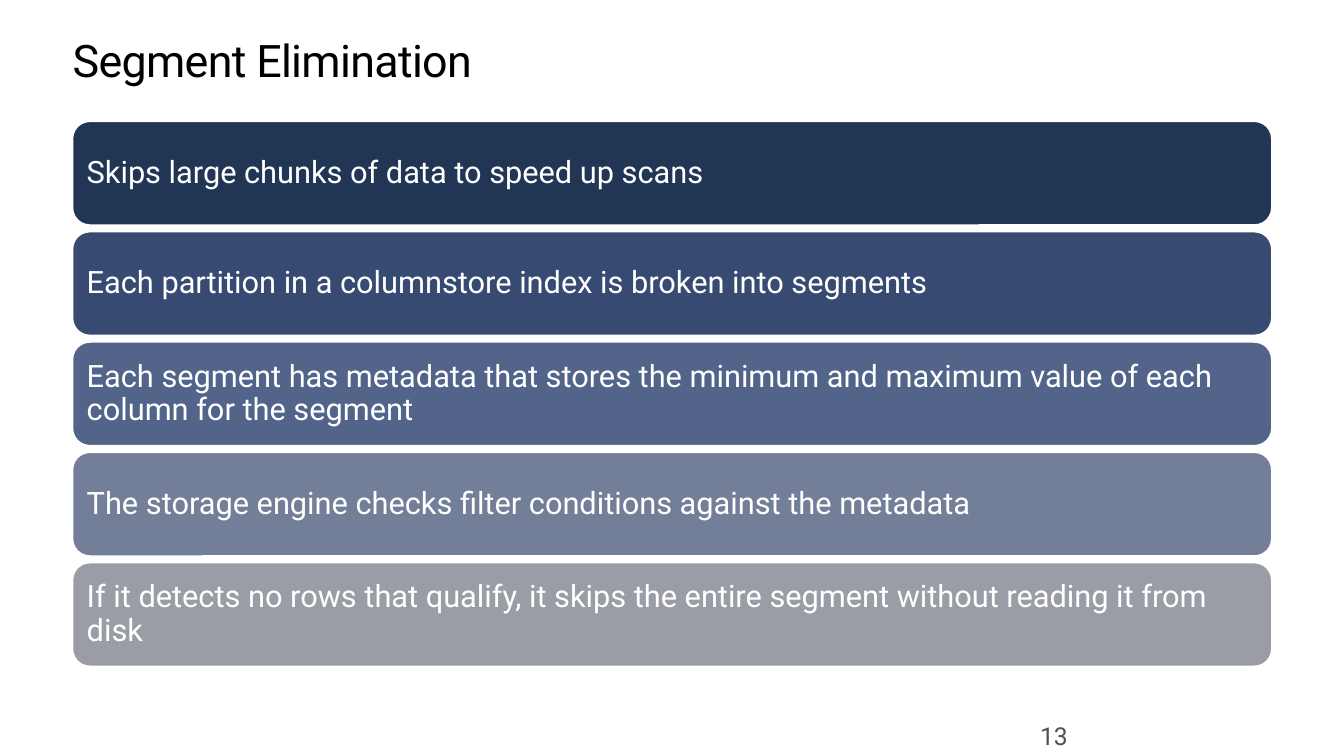
from dataclasses import dataclass

from pptx import Presentation
from pptx import util as u
from pptx.dml import color
from pptx.enum import shapes, text


@dataclass(frozen=True)
class Theme:
    font: str = "Roboto"
    ink: str = "000000"
    paper: str = "FFFFFF"
    grey: str = "505050"
    bars: tuple = ("213555", "374B72", "526489", "737F99", "9A9DA5")
    head: float = 32
    body: float = 22
    foot: float = 17.6


THEME = Theme()

POINTS = (
    "Skips large chunks of data to speed up scans",
    "Each partition in a columnstore index is broken into segments",
    "Each segment has metadata that stores the minimum and maximum value "
    "of each column for the segment",
    "The storage engine checks filter conditions against the metadata",
    "If it detects no rows that qualify, it skips the entire segment "
    "without reading it from disk",
)

# Shared column and bar rhythm
LEFT, WIDTH = u.Cm(1.83), u.Cm(30.22)
TOP, HIGH, STEP = u.Cm(3.06), u.Cm(2.61), u.Cm(2.78)


def rgb(code):
    return color.RGBColor.from_string(code)


def write(shape, words, size, ink, inset=None, anchor=None, lead=None, track=None):
    """Put one left-aligned paragraph in a shape."""
    frame = shape.text_frame
    frame.word_wrap = True
    frame.auto_size = text.MSO_AUTO_SIZE.NONE
    if anchor is not None:
        frame.vertical_anchor = anchor
    if inset is not None:
        frame.margin_left = frame.margin_right = inset
        frame.margin_top = frame.margin_bottom = inset
    para = frame.paragraphs[0]
    para.alignment = text.PP_ALIGN.LEFT
    if lead is not None:
        para.line_spacing = lead
    run = para.add_run()
    run.text = words
    run.font.name = THEME.font
    run.font.size = u.Pt(size)
    run.font.color.rgb = rgb(ink)
    if track is not None:
        run.font._element.set("spc", str(track))


def title(slide, words):
    head = slide.shapes.title
    head.left, head.top, head.width, head.height = LEFT, u.Cm(0.89), WIDTH, u.Cm(1.27)
    write(head, words, THEME.head, THEME.ink, inset=0,
          anchor=text.MSO_ANCHOR.TOP, lead=u.Pt(36.2), track=-50)


def bar(slide, top, words, fill):
    box = slide.shapes.add_shape(
        shapes.MSO_SHAPE.ROUNDED_RECTANGLE, LEFT, top, WIDTH, HIGH)
    box.shadow.inherit = False
    box.fill.solid()
    box.fill.fore_color.rgb = rgb(fill)
    box.line.color.rgb = rgb(THEME.paper)
    box.line.width = u.Pt(1)
    write(box, words, THEME.body, THEME.paper, inset=u.Cm(0.23),
          anchor=text.MSO_ANCHOR.MIDDLE, lead=0.9)


def number(slide, words):
    box = slide.shapes.add_textbox(u.Cm(25.96), u.Cm(18.03), u.Cm(7.9), u.Cm(1.02))
    write(box, words, THEME.foot, THEME.grey)


def main():
    deck = Presentation()
    deck.slide_width, deck.slide_height = u.Cm(33.87), u.Cm(19.05)
    slide = deck.slides.add_slide(deck.slide_layouts.get_by_name("Title Only"))

    # Heading
    title(slide, "Segment Elimination")

    # Stacked bars, dark to light
    for row, (words, fill) in enumerate(zip(POINTS, THEME.bars)):
        bar(slide, TOP + row * STEP, words, fill)

    # Page number
    number(slide, "13")
    deck.save("out.pptx")


if __name__ == "__main__":
    main()
